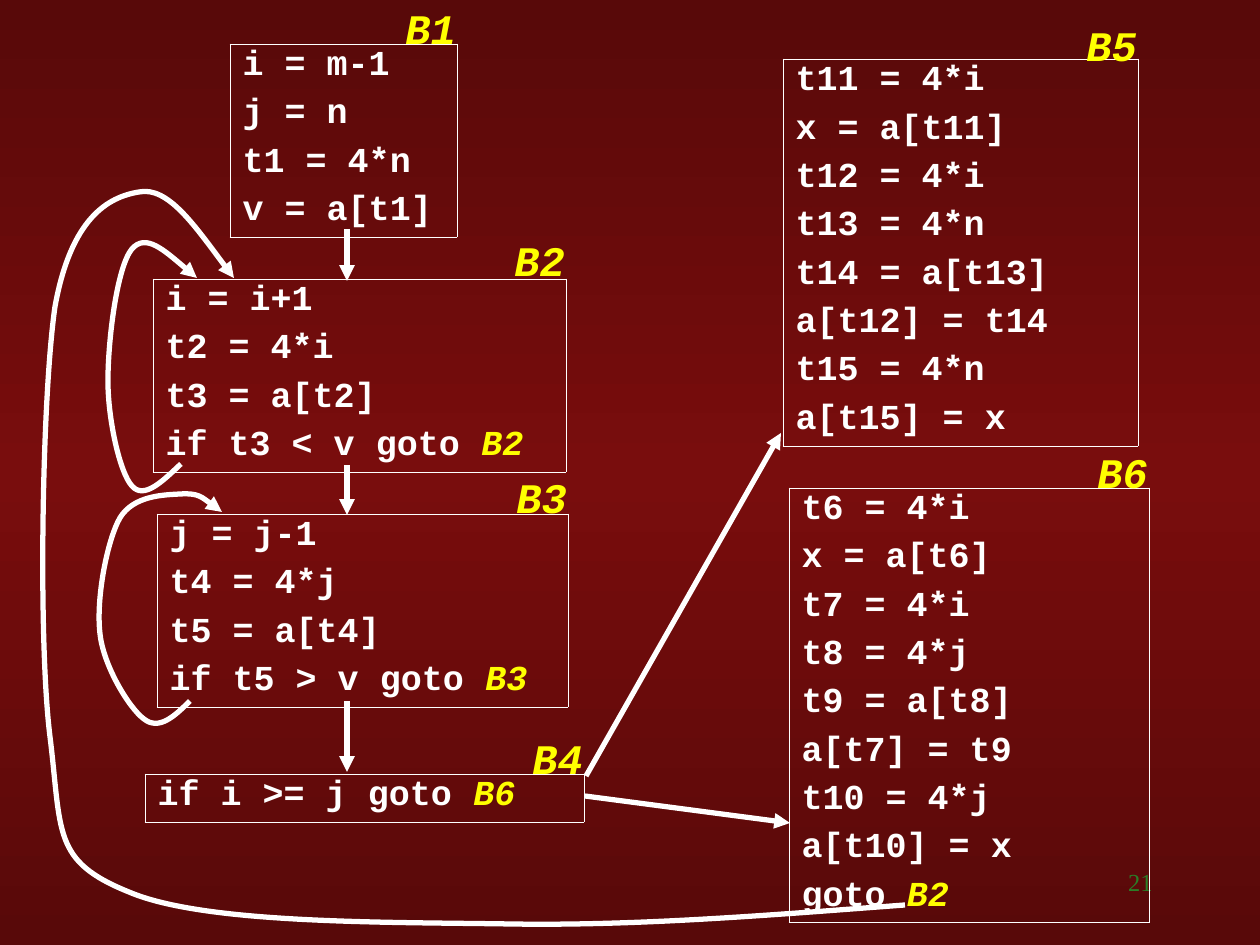
from copy import deepcopy

from lxml.etree import SubElement
from pptx import Presentation
from pptx.dml.color import RGBColor
from pptx.enum.shapes import MSO_CONNECTOR
from pptx.enum.text import MSO_AUTO_SIZE, PP_ALIGN
from pptx.oxml.ns import qn
from pptx.util import Pt

PX = 914400 / 126
WHITE, YELLOW, GREEN = "FFFFFF", "FFFF00", "2B7D27"
DARK, RED = "580909", "790D0D"
CODE = "Courier New"
NO_GRID = "{2D5ABB26-0587-4C30-8999-92F81FD0307C}"

# name, (left, top, width, height), rise of the label, code lines
BLOCKS = [
    ("B1", (230, 44, 227, 193), 48,
     ["i = m-1", "j = n", "t1 = 4*n", "v = a[t1]"]),
    ("B2", (153, 279, 413, 193), 51,
     ["i = i+1", "t2 = 4*i", "t3 = a[t2]", "if t3 < v goto B2"]),
    ("B3", (157, 514, 411, 193), 49,
     ["j = j-1", "t4 = 4*j", "t5 = a[t4]", "if t5 > v goto B3"]),
    ("B4", (145, 774, 439, 48), 48, ["if i >= j goto B6"]),
    ("B5", (783, 59, 355, 387), 46,
     ["t11 = 4*i", "x = a[t11]", "t12 = 4*i", "t13 = 4*n",
      "t14 = a[t13]", "a[t12] = t14", "t15 = 4*n", "a[t15] = x"]),
    ("B6", (789, 488, 360, 435), 48,
     ["t6 = 4*i", "x = a[t6]", "t7 = 4*i", "t8 = 4*j", "t9 = a[t8]",
      "a[t7] = t9", "t10 = 4*j", "a[t10] = x", "goto B2"]),
]

ARROWS = [
    (347, 229, 347, 281),
    (347, 465, 347, 515),
    (347, 701, 347, 772),
    (586, 776, 781, 433),
    (585, 796, 790, 823),
]

# start point, then two control points and an end point for each bend
LOOPS = [
    [(181, 464), (163, 481), (144, 500), (132, 486),
     (120, 473), (108, 420), (108, 381),
     (108, 340), (117, 267), (132, 249),
     (146, 233), (171, 256), (197, 278)],
    [(190, 701), (175, 716), (159, 731), (144, 719),
     (129, 708), (103, 665), (100, 633),
     (96, 599), (107, 541), (120, 518),
     (134, 495), (165, 495), (181, 494),
     (199, 493), (210, 503), (222, 512)],
    [(905, 905), (771, 915), (639, 926), (510, 924),
     (381, 922), (204, 924), (129, 892),
     (52, 861), (62, 833), (50, 736),
     (38, 639), (42, 398), (55, 307),
     (71, 218), (108, 197), (139, 192),
     (168, 186), (200, 233), (234, 278)],
]


def emu(*vals):
    return [round(v * PX) for v in vals]


def rgb(color):
    return RGBColor.from_string(color)


def style(font, name, size, color, bold=False, italic=False):
    font.name, font.size = name, Pt(size)
    font.bold, font.italic = bold, italic
    font.color.rgb = rgb(color)


def backdrop(slide):
    fill = slide.background.fill
    fill.gradient()
    fill.gradient_angle = 90
    stops = slide._element.find(".//" + qn("a:gsLst"))
    stops.append(deepcopy(stops[0]))
    for stop, pos, color in zip(fill.gradient_stops, (0, 0.5, 1),
                                (DARK, RED, DARK)):
        stop.position = pos
        stop.color.rgb = rgb(color)


def text(slide, box, words, wrap):
    frame = slide.shapes.add_textbox(*emu(*box)).text_frame
    frame.word_wrap = wrap
    if not wrap:
        frame.auto_size = MSO_AUTO_SIZE.SHAPE_TO_FIT_TEXT
    para = frame.paragraphs[0]
    para.text = words
    return para


def border(cell, sides):
    props = cell._tc.get_or_add_tcPr()
    for side in sides:
        line = SubElement(props, qn("a:ln" + side), w="5715")
        fill = SubElement(line, qn("a:solidFill"))
        SubElement(fill, qn("a:srgbClr"), val=WHITE)


def code(para, words):
    """Write one code line, with a jump target in yellow italics."""
    head, jump, target = words.rpartition("goto ")
    para.line_spacing = 0.8
    style(para.font, CODE, 20, WHITE, bold=True)
    if not jump:
        para.add_run().text = words
        return
    para.add_run().text = head + jump
    run = para.add_run()
    run.text = target
    run.font.italic = True
    run.font.color.rgb = rgb(YELLOW)


def block(slide, name, box, rise, lines):
    left, top, width, height = box
    count = len(lines)
    table = slide.shapes.add_table(count, 1, *emu(*box)).table
    table.first_row = table.horz_banding = False
    table._tbl.find(".//" + qn("a:tableStyleId")).text = NO_GRID
    for i, words in enumerate(lines):
        table.rows[i].height = emu(height / count)[0]
        cell = table.cell(i, 0)
        border(cell, "LR" + "T" * (i == 0) + "B" * (i == count - 1))
        cell.fill.background()
        code(cell.text_frame.paragraphs[0], words)
    label = text(slide, (left + width - 64, top - rise, 76, 63), name, False)
    style(label.font, CODE, 24, YELLOW, bold=True, italic=True)


def tip(shape):
    """Make the outline a thick white arrow."""
    shape.line.color.rgb = rgb(WHITE)
    shape.line.width = Pt(3)
    line = shape._element.spPr.find(qn("a:ln"))
    SubElement(line, qn("a:tailEnd"), type="triangle")


def arrow(slide, ends):
    link = slide.shapes.add_connector(MSO_CONNECTOR.STRAIGHT, *emu(*ends))
    tip(link)
    SubElement(link._element.spPr, qn("a:effectLst"))


def loop(slide, points):
    pen = slide.shapes.build_freeform(*points[0], scale=PX)
    pen.add_line_segments(points[1:], close=False)
    shape = pen.convert_to_shape()
    shape.fill.background()
    tip(shape)
    shape.shadow.inherit = False
    path = shape._element.find(".//" + qn("a:path"))
    steps = path.findall(qn("a:lnTo"))
    for i in range(0, len(steps), 3):
        bend = SubElement(path, qn("a:cubicBezTo"))
        for step in steps[i:i + 3]:
            bend.append(step[0])
            path.remove(step)


def number(slide, box):
    para = text(slide, box, "21", True)
    para.alignment = PP_ALIGN.RIGHT
    style(para.font, "Times New Roman", 14, GREEN)


def main():
    deck = Presentation()
    deck.slide_width, deck.slide_height = emu(1260, 945)
    slide = deck.slides.add_slide(deck.slide_layouts[6])
    backdrop(slide)
    number(slide, (903, 861, 262, 63))
    for item in BLOCKS:
        block(slide, *item)
    for ends in ARROWS:
        arrow(slide, ends)
    for points in LOOPS:
        loop(slide, points)
    deck.save("out.pptx")


if __name__ == "__main__":
    main()
